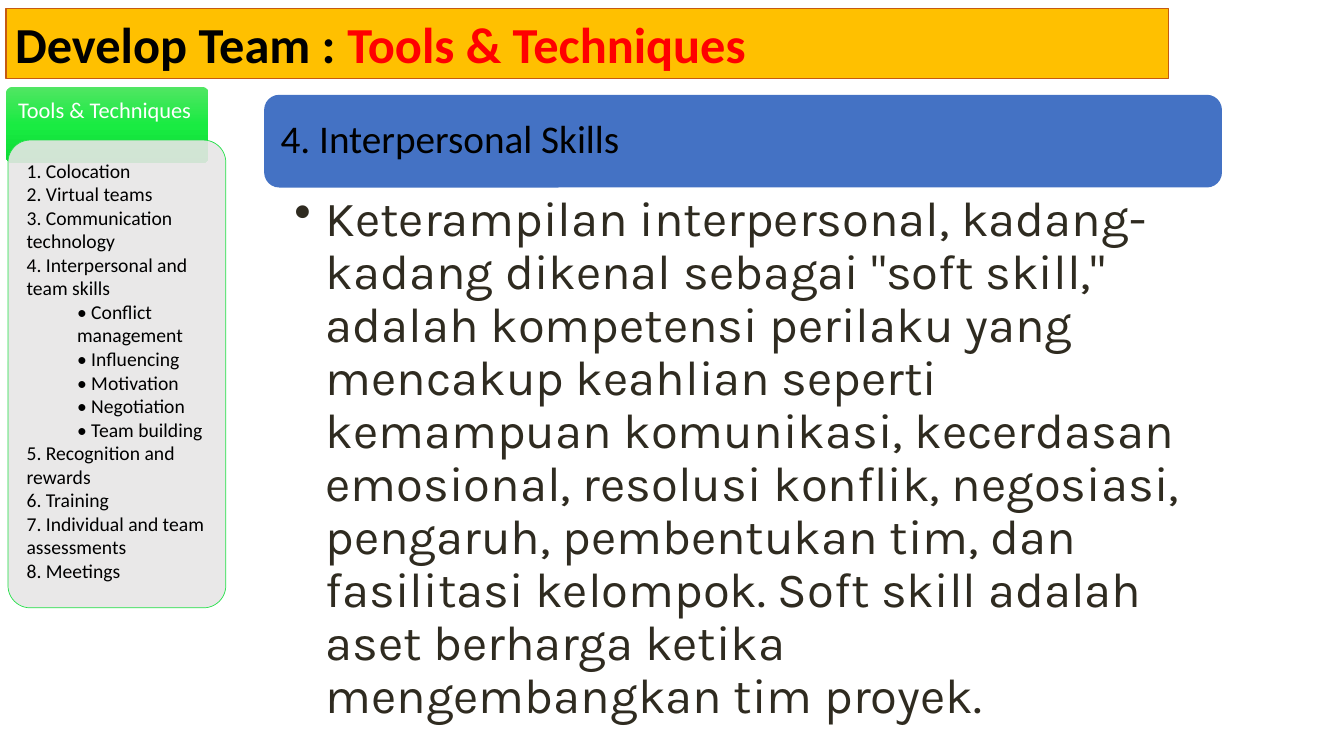
import copy
from dataclasses import dataclass
from typing import Optional

import pptx
import pptx.dml.color
import pptx.enum.shapes
import pptx.enum.text
import pptx.oxml
import pptx.oxml.ns
import pptx.util
from pptx.util import Inches

SHAPE = pptx.enum.shapes.MSO_SHAPE
ANCHOR = pptx.enum.text.MSO_ANCHOR
qn = pptx.oxml.ns.qn


@dataclass(frozen=True)
class Theme:
    body_font: str = "Calibri"
    main_font: str = "Karla"
    black: str = "000000"
    white: str = "FFFFFF"
    red: str = "FF0000"
    ink: str = "2F2B20"
    amber: str = "FFC000"
    rust: str = "C55A11"
    blue: str = "4472C4"
    grey: str = "E7E6E6"
    green: str = "23E148"
    greens: tuple[str, ...] = ("51E663", "19EB42", "0CDB34")
    title_size: int = 36
    main_size: int = 35
    heading_size: int = 28
    tab_size: int = 16
    list_size: int = 14


@dataclass(frozen=True)
class Box:
    left: float
    top: float
    width: float
    height: float
    insets: tuple[float, float, float, float]
    kind: Optional[SHAPE] = None
    radius: float = 0
    fill: Optional[str] = None
    line: Optional[str] = None
    line_width: float = 0
    anchor: ANCHOR = ANCHOR.TOP


T = Theme()
TITLE = Box(0.06, 0.08, 11.53, 0.7, (0.09, 0.05, 0.09, 0.05), SHAPE.RECTANGLE,
            fill=T.amber, line=T.rust, line_width=0.75)
HEADING = Box(2.62, 0.94, 9.5, 0.92, (0.12, 0.12, 0.12, 0.12),
              SHAPE.ROUNDED_RECTANGLE, 0.15, T.blue, anchor=ANCHOR.MIDDLE)
MAIN = Box(2.62, 1.87, 9.5, 5.3, (0.3, 0.06, 0.35, 0.06))
TAB = Box(0.06, 0.86, 2.01, 0.76, (0.1, 0.1, 0.1, 0.3),
          SHAPE.ROUNDED_RECTANGLE, 0.07)
PANEL = Box(0.08, 1.39, 2.16, 4.64, (0.12, 0.12, 0.12, 0.12),
            SHAPE.ROUNDED_RECTANGLE, 0.22, T.grey, T.green, 0.5)

DEFINITION = (
    'Keterampilan interpersonal, kadang-kadang dikenal sebagai "soft skill," '
    "adalah kompetensi perilaku yang mencakup keahlian seperti kemampuan "
    "komunikasi, kecerdasan emosional, resolusi konflik, negosiasi, pengaruh, "
    "pembentukan tim, dan fasilitasi kelompok. Soft skill adalah aset berharga "
    "ketika mengembangkan tim proyek."
)
TECHNIQUES = (
    "1. Colocation", "2. Virtual teams", "3. Communication technology",
    "4. Interpersonal and team skills", "• Conflict management",
    "• Influencing", "• Motivation", "• Negotiation", "• Team building",
    "5. Recognition and rewards", "6. Training", "7. Individual and team",
    "assessments", "8. Meetings",
)


def rgb(color: str) -> pptx.dml.color.RGBColor:
    return pptx.dml.color.RGBColor.from_string(color)


def add_box(slide, box: Box):
    """Draw a preset shape, or a plain text box when the box has no kind."""
    place = [Inches(v) for v in (box.left, box.top, box.width, box.height)]
    if box.kind is None:
        sp = slide.shapes.add_textbox(*place)
    else:
        sp = slide.shapes.add_shape(box.kind, *place)
        sp.shadow.inherit = False
        if box.radius:
            sp.adjustments[0] = box.radius / min(box.width, box.height)
        if box.fill:
            sp.fill.solid()
            sp.fill.fore_color.rgb = rgb(box.fill)
        if box.line:
            sp.line.color.rgb = rgb(box.line)
            sp.line.width = pptx.util.Pt(box.line_width)
        else:
            sp.line.fill.background()
    tf = sp.text_frame
    tf.word_wrap = True
    tf.vertical_anchor = box.anchor
    tf.margin_left, tf.margin_top, tf.margin_right, tf.margin_bottom = map(Inches, box.insets)
    return sp


def add_text(p, text: str, *, size: int, color: str, font: str = T.body_font,
             bold: bool = False, spacing: float = 1, margin: float = 0,
             indent: float = 0, bullet: str = "") -> None:
    """Add one formatted run to a paragraph and set the paragraph's layout."""
    p.alignment = pptx.enum.text.PP_ALIGN.LEFT
    p.line_spacing = spacing
    pPr = p._p.get_or_add_pPr()
    pPr.set("marL", str(Inches(margin)))
    pPr.set("indent", str(Inches(indent)))
    if bullet:
        pptx.oxml.ns.qn("a:buChar")
        bu = pPr.makeelement(qn("a:buChar"), {"char": bullet})
        pPr.append(bu)
    r = p.add_run()
    r.text = text
    r.font.name = font
    r.font.size = pptx.util.Pt(size)
    r.font.bold = bold
    r.font.color.rgb = rgb(color)


def set_gradient(sp, colors: tuple[str, ...]) -> None:
    """Fill from top to bottom with evenly spaced colours."""
    sp.fill.gradient()
    sp.fill.gradient_angle = 270
    stops = sp._element.spPr.find(qn("a:gradFill")).find(qn("a:gsLst"))
    while len(stops) < len(colors):
        stops.append(copy.deepcopy(stops[0]))
    for i, (stop, color) in enumerate(zip(sp.fill.gradient_stops, colors)):
        stop.position = i / (len(colors) - 1)
        stop.color.rgb = rgb(color)


def set_opacity(sp, percent: int) -> None:
    color = sp._element.spPr.find(qn("a:solidFill"))[0]
    color.append(color.makeelement(qn("a:alpha"), {"val": str(percent * 1000)}))


def main() -> None:
    prs = pptx.Presentation()
    prs.slide_width, prs.slide_height = Inches(13.33), Inches(7.5)
    s = prs.slides.add_slide(prs.slide_layouts[6])

    p = add_box(s, TITLE).text_frame.paragraphs[0]
    for text, color in (("Develop Team : ", T.black), ("Tools & Techniques", T.red)):
        add_text(p, text, size=T.title_size, color=color, bold=True)

    p = add_box(s, HEADING).text_frame.paragraphs[0]
    add_text(p, "4. Interpersonal Skills", size=T.heading_size, color=T.black,
             spacing=0.9, margin=0.09, indent=-0.09)

    p = add_box(s, MAIN).text_frame.paragraphs[0]
    add_text(p, DEFINITION, size=T.main_size, color=T.ink, font=T.main_font,
             spacing=0.9, margin=0.31, indent=-0.31, bullet="•")

    tab = add_box(s, TAB)
    set_gradient(tab, T.greens)
    add_text(tab.text_frame.paragraphs[0], "Tools & Techniques",
             size=T.tab_size, color=T.white, spacing=0.9)

    panel = add_box(s, PANEL)
    set_opacity(panel, 90)
    tf = panel.text_frame
    for i, item in enumerate(TECHNIQUES):
        p = tf.add_paragraph() if i else tf.paragraphs[0]
        add_text(p, item, size=T.list_size, color=T.black,
                 margin=0.5 if item.startswith("•") else 0)

    prs.save("out.pptx")


if __name__ == "__main__":
    main()
